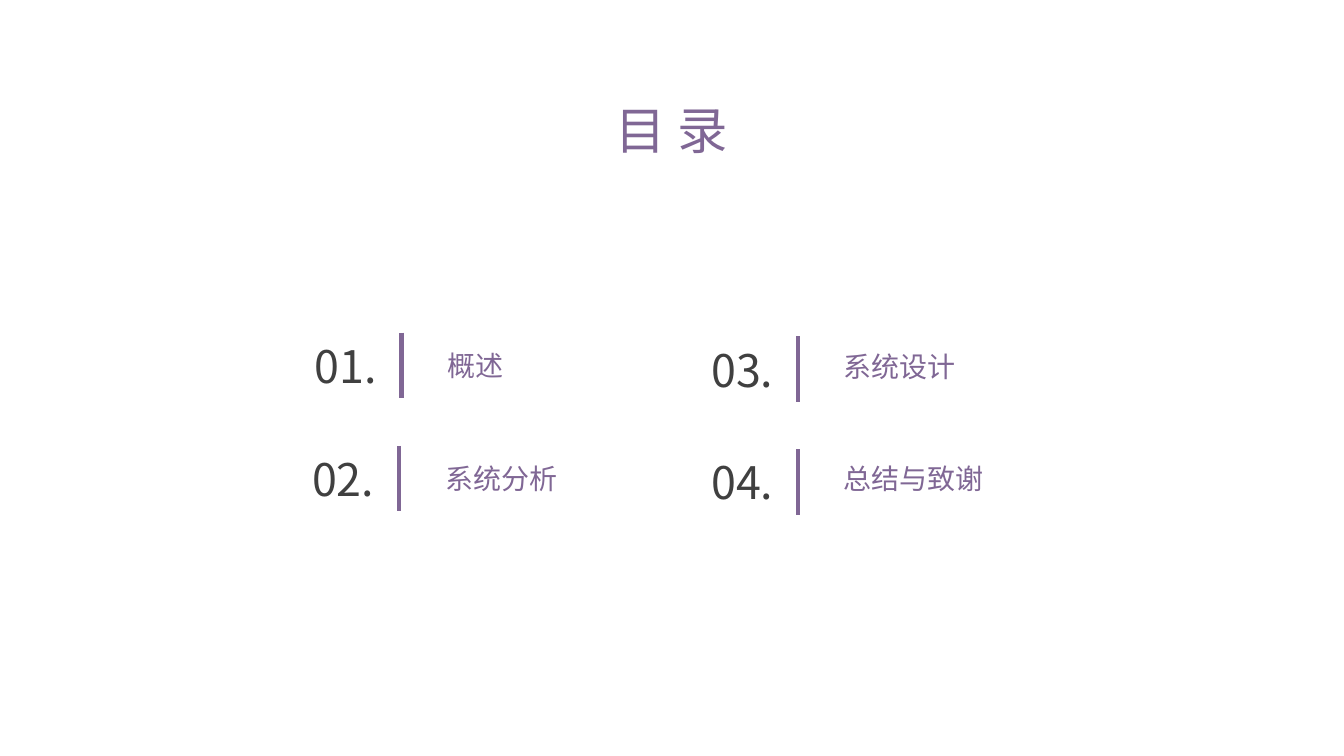
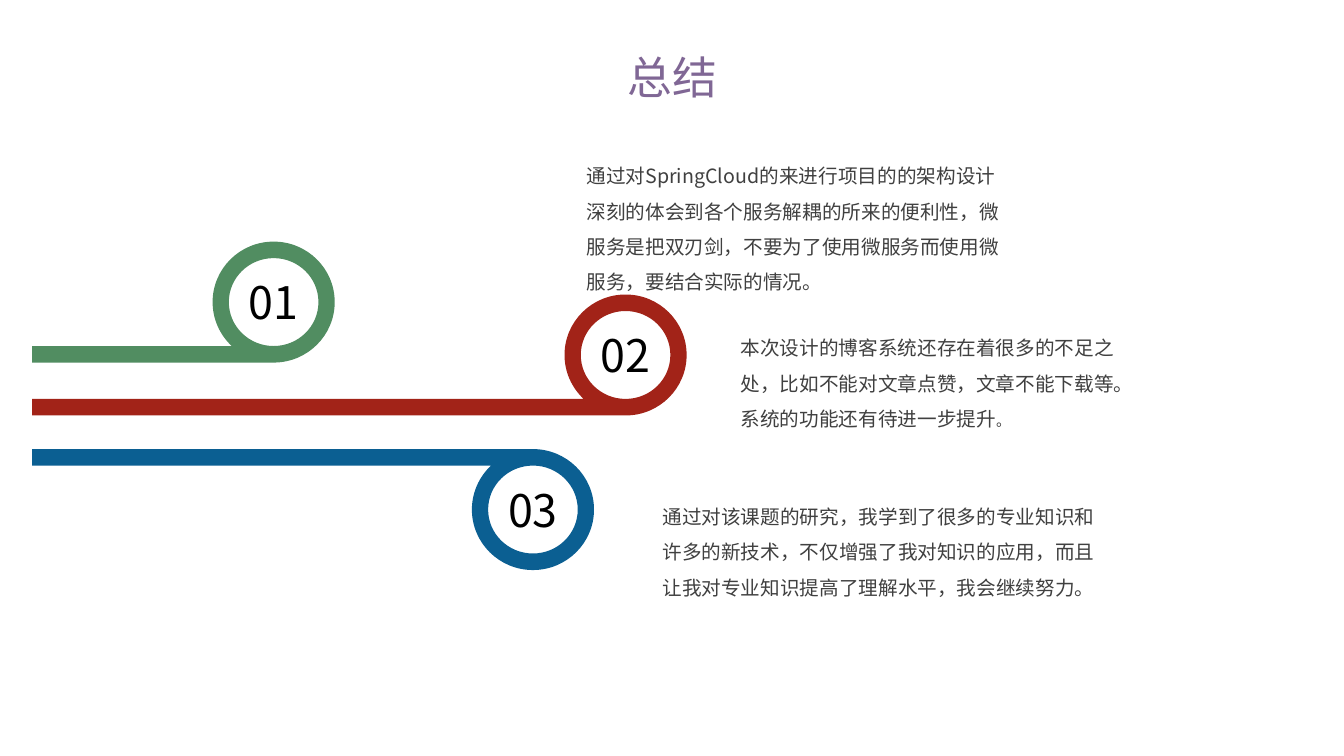
"""Build the contents slide and the summary slide of a project defence."""
import itertools
import math
from dataclasses import dataclass

import pptx
import pptx.dml.color
import pptx.enum.shapes
import pptx.enum.text
import pptx.oxml
import pptx.oxml.ns
import pptx.util

Pt = pptx.util.Pt
ALIGN = pptx.enum.text.PP_ALIGN
ANCHOR = pptx.enum.text.MSO_ANCHOR
AUTO_SIZE = pptx.enum.text.MSO_AUTO_SIZE


@dataclass(frozen=True)
class Theme:
    """Colours, fonts and type sizes shared by the slides."""
    accent: str = "806795"
    dark: str = "404040"
    black: str = "000000"
    green: str = "518D61"
    red: str = "A22318"
    blue: str = "0B5F92"
    heading_font: str = "Noto Sans CJK SC"
    body_font: str = "Noto Sans CJK JP"
    contents_title: float = 36
    title: float = 32
    number: float = 32
    label: float = 20
    body: float = 14
    small: float = 10.5


THEME = Theme()

CONTENTS_TITLE = "目 录"
CONTENTS = [
    ("01.", "概述", (286.8, 237.6), (25.6, 7.9)),
    ("02.", "系统分析", (285.1, 318.5), (26.2, 7.7)),
    ("03.", "系统设计", (570.2, 240.2), (24.9, 5.7)),
    ("04.", "总结与致谢", (570.2, 320.8), (24.9, 5.2)),
]

SUMMARY_TITLE = "总结"
BELOW, ABOVE = 1, -1
SUMMARY = [
    ("01", THEME.green, (195.5, 215.8), BELOW, (411.9, 105.4, 319.7, 105.8),
     [("通过对SpringCloud的来进行项目的的架构设计深刻的体会到各个服务解耦的所来的便利性，"
       "微服务是把双刃剑，不要为了使用微服务而使用微服务，要结合实际的情况。", THEME.body)]),
    ("02", THEME.red, (446.9, 253.6), BELOW, (522, 228.2, 290.9, 83.5),
     [("本次设计的博客系统还存在着很多的不足之处，比如不能对文章点赞，"
       "文章不能下载等。系统的功能还有待进一步提升", THEME.body), ("。", THEME.small)]),
    ("03", THEME.blue, (380.7, 364), ABOVE, (466.1, 348.9, 336.2, 83.5),
     [("通过对该课题的研究，我学到了很多的专业知识和许多的新技术，不仅增强了我对知识的应用，"
       "而且让我对专业知识提高了理解水平，我会继续努力。", THEME.body)]),
]

RULE_HEIGHT, RULE_WEIGHT = 46.8, 3
NUMBER_WIDTH, NUMBER_HEIGHT = 62, 46
BAR_LEFT = 23
OUTER_X, OUTER_Y = 43.6, 43.2
INNER_X, INNER_Y = 32, 31.4
QUARTERS = [0, 90, 180, 270]


def rgb(colour):
    """Turn a hex string into a colour."""
    return pptx.dml.color.RGBColor.from_string(colour)


def write(frame, runs, colour, font, align=ALIGN.LEFT, spacing=1.0):
    """Fill the first paragraph of a text frame run by run."""
    paragraph = frame.paragraphs[0]
    paragraph.alignment = align
    paragraph.line_spacing = spacing
    for words, size in runs:
        run = paragraph.add_run()
        run.text = words
        run.font.size = Pt(size)
        run.font.color.rgb = rgb(colour)
        run.font.name = font
        east_asian = pptx.oxml.parse_xml(
            f'<a:ea {pptx.oxml.ns.nsdecls("a")} typeface="{font}"/>')
        run.font._element.append(east_asian)


def add_text(slide, box, runs, colour, font, wrap=True, **layout):
    """Add a text box that grows with its text."""
    frame = slide.shapes.add_textbox(*map(Pt, box)).text_frame
    frame.word_wrap = wrap
    frame.auto_size = AUTO_SIZE.SHAPE_TO_FIT_TEXT
    write(frame, runs, colour, font, **layout)


def add_titled_slide(deck, words, size, box, anchor, spacing):
    """Add a slide with a centred accent title."""
    slide = deck.slides.add_slide(deck.slide_layouts[5])
    title = slide.shapes.title
    title.left, title.top, title.width, title.height = map(Pt, box)
    title.text_frame.auto_size = AUTO_SIZE.NONE
    title.text_frame.vertical_anchor = anchor
    write(title.text_frame, [(words, size)], THEME.accent, THEME.heading_font,
          ALIGN.CENTER, spacing)
    return slide


def add_rule(slide, x, top):
    """Draw the upright rule between a number and its label."""
    rule = slide.shapes.add_connector(
        pptx.enum.shapes.MSO_CONNECTOR.STRAIGHT,
        Pt(x), Pt(top), Pt(x), Pt(top + RULE_HEIGHT))
    rule.line.color.rgb = rgb(THEME.accent)
    rule.line.width = Pt(RULE_WEIGHT)
    rule._element.spPr.append(
        pptx.oxml.parse_xml(f'<a:effectLst {pptx.oxml.ns.nsdecls("a")}/>'))


def arc(centre, radius_x, radius_y, side, stops):
    """List the start of an arc, then two handles and an end for each curve."""
    def place(across, along):
        return (Pt(centre[0] + radius_x * across),
                Pt(centre[1] + side * radius_y * along))

    angles = [math.radians(stop) for stop in stops]
    points = [place(math.sin(angles[0]), math.cos(angles[0]))]
    for start, end in itertools.pairwise(angles):
        reach = 4 / 3 * math.tan((end - start) / 4)
        points += [
            place(math.sin(start) + reach * math.cos(start),
                  math.cos(start) - reach * math.sin(start)),
            place(math.sin(end) - reach * math.cos(end),
                  math.cos(end) + reach * math.sin(end)),
            place(math.sin(end), math.cos(end)),
        ]
    return points


def bend(segments):
    """Merge each three straight segments into one Bezier curve."""
    for first in range(0, len(segments), 3):
        curve = pptx.oxml.parse_xml(
            f'<a:cubicBezTo {pptx.oxml.ns.nsdecls("a")}/>')
        segments[first].addprevious(curve)
        for segment in segments[first:first + 3]:
            curve.append(segment[0])
            segment.getparent().remove(segment)


def add_looped_bar(slide, centre, side, colour):
    """Draw a bar from the left edge that ends in a ring."""
    y = centre[1]
    meeting = 360 - math.degrees(math.acos(INNER_Y / OUTER_Y))
    ring = arc(centre, OUTER_X, OUTER_Y, side, QUARTERS + [meeting])
    hole = arc(centre, INNER_X, INNER_Y, side, [360] + QUARTERS[::-1])
    builder = slide.shapes.build_freeform(Pt(BAR_LEFT), Pt(y + side * OUTER_Y))
    builder.add_line_segments(
        ring + [(Pt(BAR_LEFT), Pt(y + side * INNER_Y))], close=True)
    builder.move_to(*hole[0])
    builder.add_line_segments(hole[1:], close=True)
    looped_bar = builder.convert_to_shape()
    segments = list(looped_bar._element.iter(pptx.oxml.ns.qn("a:lnTo")))
    bend(segments[1:len(ring)])
    bend(segments[len(ring) + 1:])
    looped_bar.shadow.inherit = False
    looped_bar.fill.solid()
    looped_bar.fill.fore_color.rgb = rgb(colour)
    looped_bar.line.fill.background()


def build_contents(deck):
    """Build the contents slide."""
    slide = add_titled_slide(deck, CONTENTS_TITLE, THEME.contents_title,
                             (409.7, 45.4, 140.4, 72.7), ANCHOR.TOP, 1.5)
    for number, label, (x, top), (label_gap, label_drop) in CONTENTS:
        add_text(slide, (x - 71, top + 0.7, NUMBER_WIDTH, NUMBER_HEIGHT),
                 [(number, THEME.number)], THEME.dark, THEME.body_font,
                 wrap=False, align=ALIGN.CENTER)
        label_width = len(label) * THEME.label + 14.4
        add_text(slide, (x + label_gap, top + label_drop, label_width, 31.7),
                 [(label, THEME.label)], THEME.accent, THEME.heading_font, wrap=False)
        add_rule(slide, x, top)


def build_summary(deck):
    """Build the summary slide."""
    slide = add_titled_slide(deck, SUMMARY_TITLE, THEME.title,
                             (258.8, 11.5, 442.8, 66.2), ANCHOR.BOTTOM, 0.9)
    for number, colour, centre, side, box, runs in SUMMARY:
        add_looped_bar(slide, centre, side, colour)
        x, y = centre
        add_text(slide, (x - NUMBER_WIDTH / 2, y - NUMBER_HEIGHT / 2,
                         NUMBER_WIDTH, NUMBER_HEIGHT),
                 [(number, THEME.number)], THEME.black, THEME.body_font,
                 align=ALIGN.CENTER)
        add_text(slide, box, runs, THEME.dark, THEME.body_font, spacing=1.5)


def main():
    """Build and save the deck."""
    deck = pptx.Presentation()
    deck.slide_width, deck.slide_height = Pt(960), Pt(540)
    build_contents(deck)
    build_summary(deck)
    deck.save("out.pptx")


if __name__ == "__main__":
    main()
